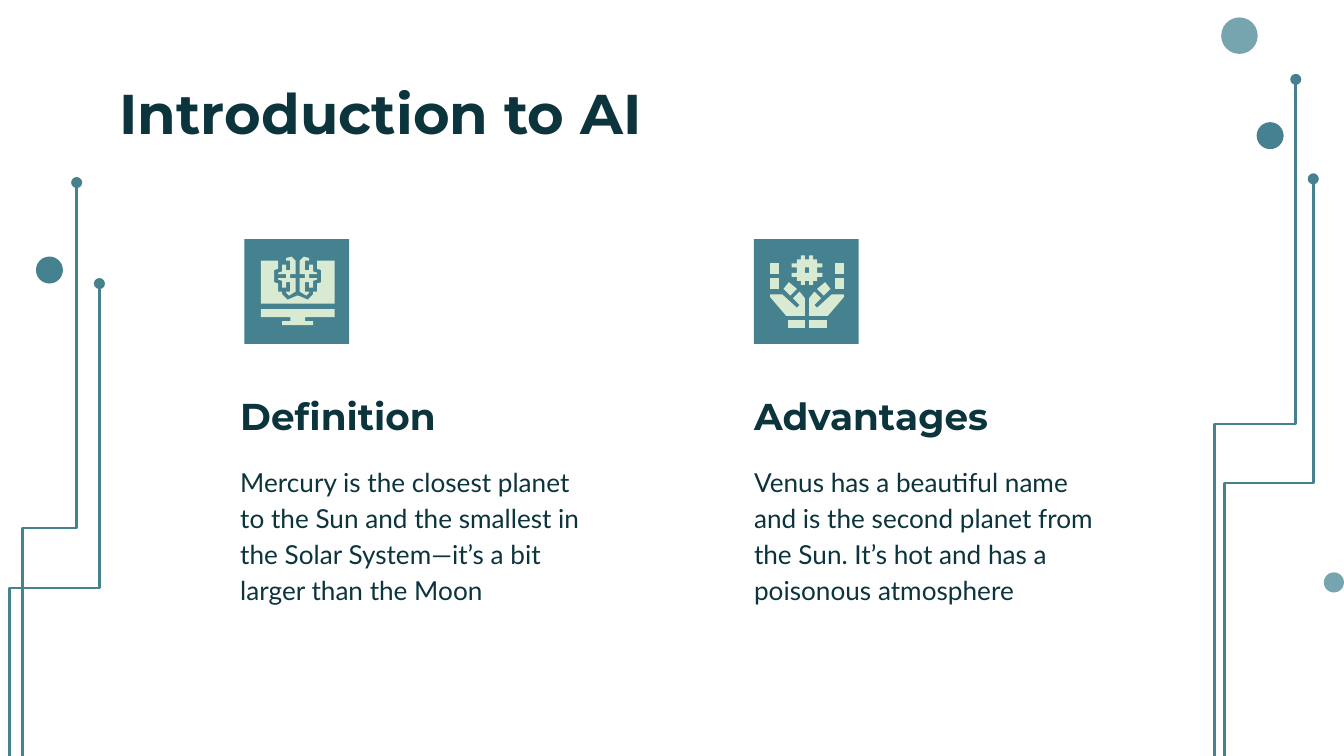
"""Build the "Introduction to AI" slide with two illustrated text columns."""
from pptx import Presentation
from pptx import util as u
from pptx.dml import color
from pptx.enum import shapes, text
from pptx.oxml import ns, xmlchemy


def rgb(value):
    return color.RGBColor.from_string(value)


def block(left, top, right, bottom):
    return [(left, top), (left, bottom), (right, bottom), (right, top)]


def mirror(points, axis):
    return [(2 * axis - x, y) for x, y in reversed(points)]


class Designer:
    INK, TEAL, PALE, MINT = "0C343D", "45818E", "76A5AF", "D9EAD3"
    HEAD_FONT, BODY_FONT = "Montserrat", "Lato"
    ICON_UNIT = u.Cm(2.54) / 100

    def __init__(self, page):
        self.page = page

    def paint(self, shape, fill):
        shape.shadow.inherit = False
        shape.fill.solid()
        shape.fill.fore_color.rgb = rgb(fill)
        shape.line.fill.background()

    def shape(self, kind, left, top, size, fill):
        side = u.Cm(size)
        self.paint(self.page.shapes.add_shape(kind, u.Cm(left), u.Cm(top), side, side), fill)

    def fill_text(self, index, words, area, size, font, bold=True, spacing=1.15,
                  anchor=text.MSO_ANCHOR.TOP):
        box = self.page.placeholders[index]
        box.left, box.top, box.width, box.height = map(u.Cm, area)
        frame = box.text_frame
        frame.text = words
        frame.word_wrap = True
        frame.auto_size = text.MSO_AUTO_SIZE.NONE
        frame.vertical_anchor = anchor
        frame.margin_left = frame.margin_right = u.Cm(0.25)
        frame.margin_top = frame.margin_bottom = u.Cm(0.25)
        para = frame.paragraphs[0]
        para.alignment = text.PP_ALIGN.LEFT
        para.line_spacing = spacing
        para.space_before = u.Pt(0)
        properties = para._p.get_or_add_pPr()
        properties.set("marL", "0")
        properties.set("indent", "0")
        properties.append(xmlchemy.OxmlElement("a:buNone"))
        para.font.name, para.font.size, para.font.bold = font, u.Pt(size), bold
        para.font.color.rgb = rgb(self.INK)

    def trace(self, x1, y1, x2, y2):
        """Draw a rising circuit line: up, across, up, ending in a dot."""
        middle_x, middle_y = (x1 + x2) / 2, (y1 + y2) / 2
        half_rise, half_run = (y1 - y2) / 2, (x2 - x1) / 2
        line = self.page.shapes.add_connector(
            shapes.MSO_CONNECTOR.ELBOW,
            u.Cm(middle_x - half_rise), u.Cm(middle_y - half_run),
            u.Cm(middle_x + half_rise), u.Cm(middle_y + half_run))
        line.line.color.rgb = rgb(self.TEAL)
        line.line.width = u.Pt(1.5)
        properties = line._element.spPr
        properties.find(ns.qn("a:xfrm")).set("rot", str(270 * 60000))
        dot = xmlchemy.OxmlElement("a:tailEnd")
        dot.set("type", "oval")
        properties.find(ns.qn("a:ln")).append(dot)
        properties.append(xmlchemy.OxmlElement("a:effectLst"))

    def outline(self, *contours):
        first, *others = contours
        builder = self.page.shapes.build_freeform(*first[0], scale=self.ICON_UNIT)
        builder.add_line_segments(first[1:], close=True)
        for contour in others:
            builder.move_to(*contour[0])
            builder.add_line_segments(contour[1:], close=True)
        self.paint(builder.convert_to_shape(), self.MINT)

    def pair(self, points, axis):
        self.outline(points)
        self.outline(mirror(points, axis))

    def brain_monitor(self):
        axis = 221.5
        brain = [(217, 191), (213, 192), (213, 194), (216, 194), (216, 201), (213, 201),
                 (213, 197), (210, 197), (210, 202), (207, 203), (207, 204), (213, 204),
                 (213, 207), (207, 207), (207, 208), (210, 209), (210, 214), (213, 214),
                 (213, 210), (216, 210), (216, 217), (213, 217), (213, 218), (215, 220),
                 (220, 217), (220, 207), (216, 207), (216, 204), (220, 204), (220, 194)]
        stand = [(194, 230), (194, 236), (216, 236), (216, 239), (210, 239), (210, 242)]
        screen = [(221, 220), (214, 223), (210, 219), (210, 217), (207, 217), (207, 211),
                  (204, 210), (204, 201), (207, 200), (207, 194), (194, 194), (194, 226)]
        self.pair(brain, axis)
        for half in (stand, screen):
            self.outline(half + mirror(half, axis))

    def gear_hands(self):
        axis = 600.5
        gear = [(599, 193), (599, 190), (596, 190), (596, 193), (593, 193), (593, 196),
                (589, 196), (589, 199), (593, 199), (593, 203), (589, 203), (589, 206),
                (593, 206), (593, 209), (596, 209), (596, 212), (599, 212), (599, 209)]
        hole = [(599, 199), (602, 199), (602, 203), (599, 203)]
        hand = [(595, 217), (590, 222), (595, 227), (593, 229), (582, 219), (573, 219),
                (573, 221), (585, 235), (599, 235), (599, 222)]
        thumb = [(587, 210), (583, 215), (588, 220), (593, 215)]
        self.outline(gear + mirror(gear, axis), hole)
        for part in (hand, thumb, block(573, 196, 580, 204), block(573, 207, 580, 215),
                     block(586, 238, 599, 244)):
            self.pair(part, axis)


def main():
    deck = Presentation()
    deck.slide_width, deck.slide_height = u.Cm(25.4), u.Cm(14.29)
    page = deck.slides.add_slide(deck.slide_layouts.get_by_name("Comparison"))
    design = Designer(page)

    for ends in ((22.96, 14.53, 24.49, 1.5), (23.14, 14.88, 24.82, 3.38),
                 (0.43, 16.51, 1.45, 3.45), (0.18, 16.87, 1.88, 5.36)):
        design.trace(*ends)
    for left, top, size, fill in ((23.08, 0.33, 0.69, design.PALE),
                                  (23.75, 2.31, 0.51, design.TEAL),
                                  (25.02, 10.82, 0.38, design.PALE),
                                  (0.68, 4.85, 0.51, design.TEAL)):
        design.shape(shapes.MSO_SHAPE.OVAL, left, top, size, fill)

    design.fill_text(0, "Introduction to AI", (2.01, 1.24, 21.41, 1.6), 30,
                     design.HEAD_FONT, spacing=1.0)
    columns = (
        (1, 4.29, 4.62, design.brain_monitor, "Definition",
         "Mercury is the closest planet to the Sun and the smallest in the Solar "
         "System—it’s a bit larger than the Moon"),
        (3, 14.0, 14.25, design.gear_hands, "Advantages",
         "Venus has a beautiful name and is the second planet from the Sun. "
         "It’s hot and has a poisonous atmosphere"),
    )
    for index, left, tile_left, draw_icon, heading, body in columns:
        design.fill_text(index, heading, (left, 7.39, 7.11, 1.14), 20, design.HEAD_FONT,
                         anchor=text.MSO_ANCHOR.BOTTOM)
        design.fill_text(index + 1, body, (left, 8.48, 7.11, 3.35), 14, design.BODY_FONT,
                         bold=False)
        design.shape(shapes.MSO_SHAPE.RECTANGLE, tile_left, 4.52, 1.98, design.TEAL)
        draw_icon()
    deck.save("out.pptx")


if __name__ == "__main__":
    main()
